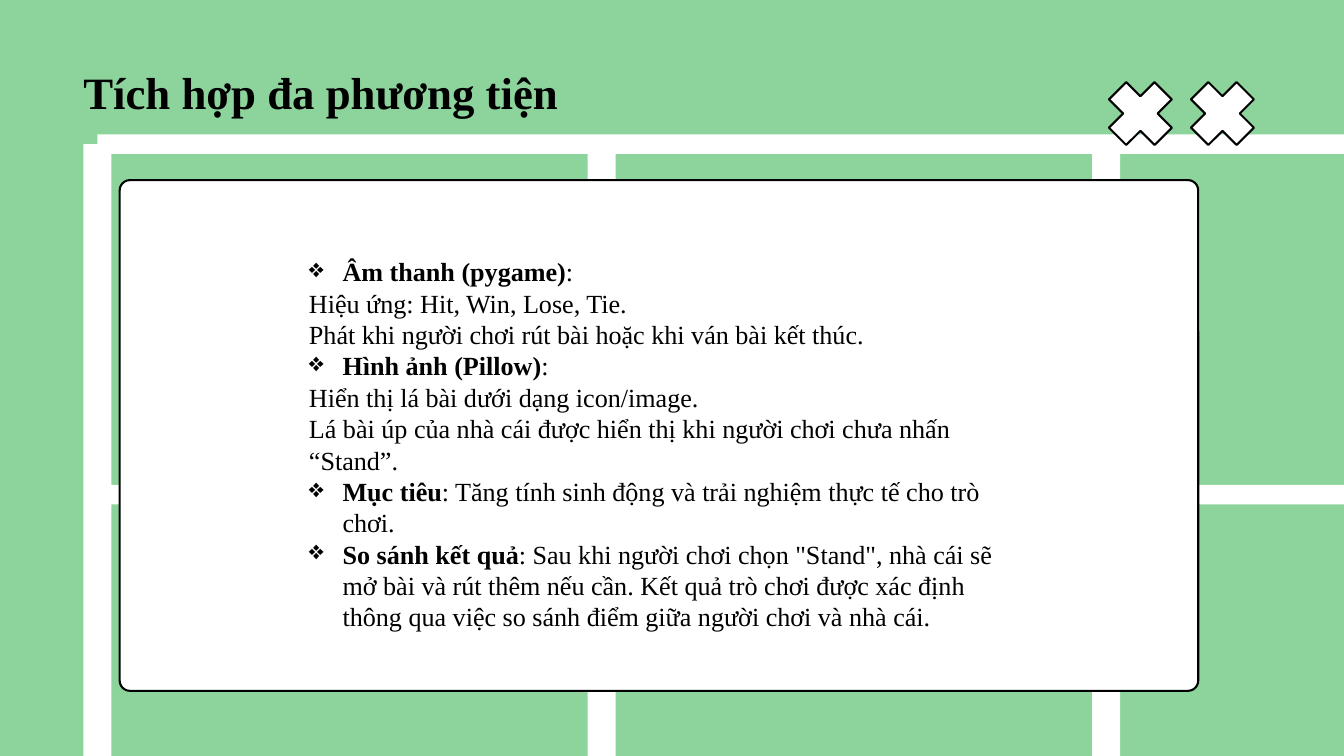
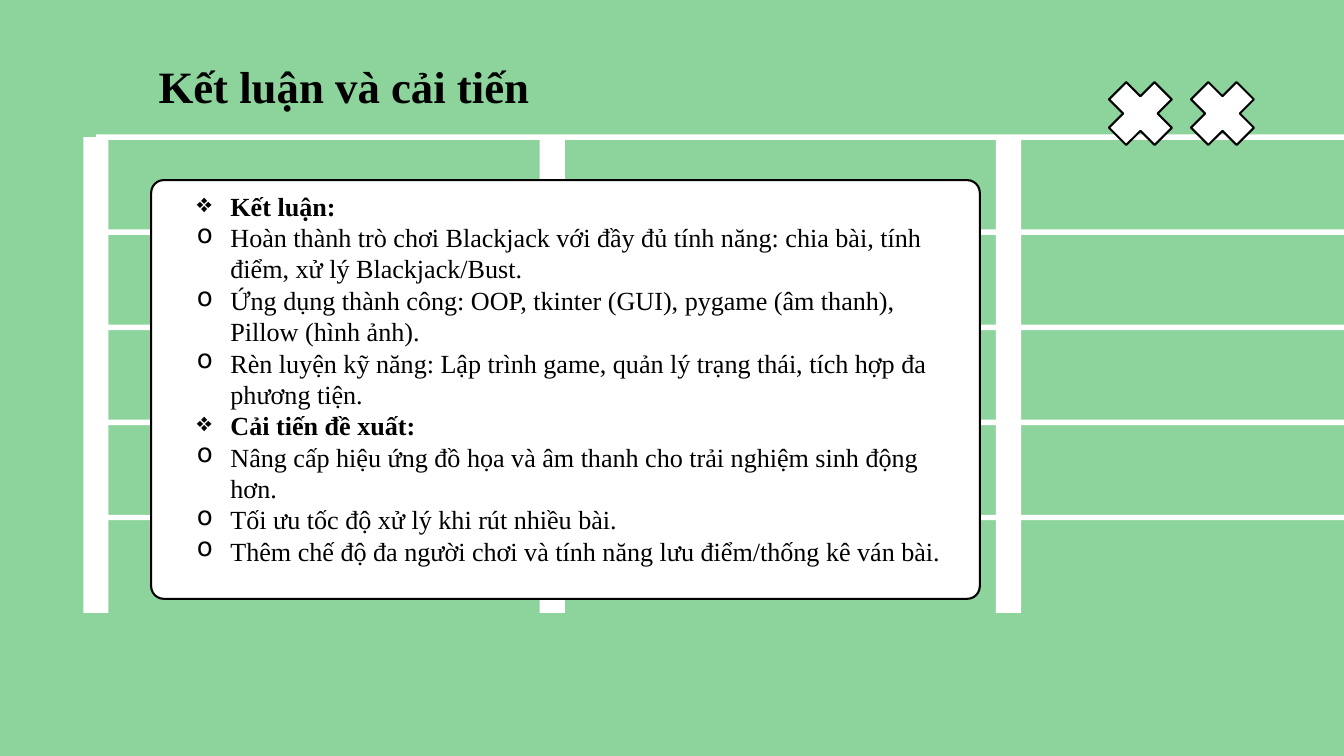
from dataclasses import dataclass
from itertools import product

from lxml.etree import SubElement
from pptx import Presentation
from pptx.dml.color import RGBColor
from pptx.enum.shapes import MSO_SHAPE as Shape
from pptx.enum.text import MSO_ANCHOR as Anchor, MSO_AUTO_SIZE as AutoSize, PP_ALIGN as Align
from pptx.oxml.ns import qn
from pptx.util import Pt


@dataclass(frozen=True)
class Theme:
    green: RGBColor = RGBColor(0x8C, 0xD4, 0x9C)
    white: RGBColor = RGBColor(0xFF, 0xFF, 0xFF)
    black: RGBColor = RGBColor(0, 0, 0)
    font: str = "Times New Roman"
    title_size: float = 48
    body_size: float = 28
    leading: float = 1.2
    outline: float = 2.25
    hang: float = 36


theme = Theme()
title_font = {"name": theme.font, "size": Pt(theme.title_size), "bold": True}
body_font = {"name": theme.font, "size": Pt(theme.body_size)}
title_frame = {"margin_left": 0, "margin_top": 0, "margin_right": 0, "margin_bottom": 0,
               "word_wrap": True, "auto_size": AutoSize.NONE, "vertical_anchor": Anchor.TOP}
title_para = {"alignment": Align.LEFT, "line_spacing": Pt(theme.title_size * theme.leading)}
body_para = {"alignment": Align.LEFT, "line_spacing": Pt(theme.body_size * theme.leading)}

# Each line of a list: bullet, bold lead, plain rest
slides = [
    {
        "title": "Tích hợp đa phương tiện",
        "title_box": (89.3, 69.8, 885.6, 58.3),
        "grid": {"right": 2806.5, "bottom": 2031.8, "bar": 30, "rail": 21,
                 "column_pitch": 540.4, "row_pitch": 375.5},
        "card": (128.2, 193, 1155.6, 547.2),
        "corner": 0.02,
        "list_box": (288, 236.9, 815.8, 482.4),
        "list_top": 37.2,
        "level": 1,
        "lines": [
            ("❖", "Âm thanh (pygame)", ":"),
            ("", "", "Hiệu ứng: Hit, Win, Lose, Tie."),
            ("", "", "Phát khi người chơi rút bài hoặc khi ván bài kết thúc."),
            ("❖", "Hình ảnh (Pillow)", ":"),
            ("", "", "Hiển thị lá bài dưới dạng icon/image."),
            ("", "", "Lá bài úp của nhà cái được hiển thị khi người chơi chưa nhấn “Stand”."),
            ("❖", "Mục tiêu", ": Tăng tính sinh động và trải nghiệm thực tế cho trò chơi."),
            ("❖", "So sánh kết quả",
             ": Sau khi người chơi chọn \"Stand\", nhà cái sẽ mở bài và rút thêm nếu cần. "
             "Kết quả trò chơi được xác định thông qua việc so sánh điểm giữa người chơi và nhà cái."),
        ],
    },
    {
        "title": "Kết luận và cải tiến",
        "title_box": (169.9, 62.6, 492.5, 58.3),
        "grid": {"right": 2546.6, "bottom": 656.6, "bar": 27, "rail": 5.8,
                 "column_pitch": 488.9, "row_pitch": 101.9},
        "card": (162, 193, 887.8, 448.6),
        "corner": 0.03,
        "list_box": (203.8, 200.2, 822.2, 448.6),
        "list_top": 3.6,
        "level": 0,
        "lines": [
            ("❖", "Kết luận:", ""),
            ("o", "", "Hoàn thành trò chơi Blackjack với đầy đủ tính năng: chia bài, tính điểm, "
                      "xử lý Blackjack/Bust."),
            ("o", "", "Ứng dụng thành công: OOP, tkinter (GUI), pygame (âm thanh), Pillow (hình ảnh)."),
            ("o", "", "Rèn luyện kỹ năng: Lập trình game, quản lý trạng thái, tích hợp đa phương tiện."),
            ("❖", "Cải tiến đề xuất:", ""),
            ("o", "", "Nâng cấp hiệu ứng đồ họa và âm thanh cho trải nghiệm sinh động hơn."),
            ("o", "", "Tối ưu tốc độ xử lý khi rút nhiều bài."),
            ("o", "", "Thêm chế độ đa người chơi và tính năng lưu điểm/thống kê ván bài."),
        ],
    },
]


def apply(target, formats):
    for name, value in formats.items():
        setattr(target, name, value)


def paint(shape, outlined=True):
    shape.shadow.inherit = False
    shape.fill.solid()
    shape.fill.fore_color.rgb = theme.white
    if outlined:
        shape.line.color.rgb = theme.black
        shape.line.width = Pt(theme.outline)
    else:
        shape.line.fill.background()


deck = Presentation()
apply(deck, {"slide_width": Pt(1440), "slide_height": Pt(810)})
backdrop = deck.slide_master.background.fill
backdrop.solid()
backdrop.fore_color.rgb = theme.green

for content in slides:
    page = deck.slides.add_slide(deck.slide_layouts[5])

    # Title
    title = page.shapes.title
    apply(title, dict(zip(("left", "top", "width", "height"), map(Pt, content["title_box"]))))
    title.text_frame.text = content["title"]
    apply(title.text_frame, title_frame)
    para = title.text_frame.paragraphs[0]
    apply(para, title_para)
    apply(para.runs[0].font, title_font)
    para.runs[0].font.color.rgb = theme.black

    # White grid: five bars and five rails, open to the right and below
    grid = content["grid"]
    bar, rail, right, bottom = (grid[key] for key in ("bar", "rail", "right", "bottom"))
    bars = [89.3 + i * grid["column_pitch"] for i in range(5)]
    rails = [144 + i * grid["row_pitch"] for i in range(5)]
    foot, edge = rails[-1] + rail, bars[-1] + bar
    notch_x, notch_y = bars[0] + bar / 2, rails[0] + rail / 2
    contours = [[(notch_x, rails[0]), (notch_x, notch_y), (bars[0], notch_y)]]
    for x in bars:
        contours[0] += [(x, foot), (x, bottom), (x + bar, bottom), (x + bar, foot)]
    for y in reversed(rails):
        contours[0] += [(edge, y + rail), (right, y + rail), (right, y), (edge, y)]
    for (x, next_x), (y, next_y) in product(zip(bars, bars[1:]), zip(rails, rails[1:])):
        contours.append([(x + bar, y + rail), (next_x, y + rail),
                         (next_x, next_y), (x + bar, next_y)])
    points = [[(Pt(x), Pt(y)) for x, y in contour] for contour in contours]
    outline = page.shapes.build_freeform(*points[0][0], scale=1.0)
    outline.add_line_segments(points[0][1:], close=True)
    for hole in points[1:]:
        outline.move_to(*hole[0])
        outline.add_line_segments(hole[1:], close=True)
    paint(outline.convert_to_shape(), outlined=False)

    # Card
    card = page.shapes.add_shape(Shape.ROUNDED_RECTANGLE, *map(Pt, content["card"]))
    card.adjustments[0] = content["corner"]
    paint(card)

    # Pair of crosses
    for i in range(2):
        cross = page.shapes.add_shape(
            Shape.CROSS, Pt(1187.3 + i * 87.9), Pt(87.1), Pt(69.1), Pt(69.1))
        cross.adjustments[0] = 0.31
        cross.rotation = 45
        paint(cross)

    # List
    box = page.shapes.add_textbox(*map(Pt, content["list_box"]))
    frame = box.text_frame
    apply(frame, {"word_wrap": True, "margin_top": Pt(content["list_top"])})
    for i, (bullet, lead, rest) in enumerate(content["lines"]):
        para = frame.paragraphs[0] if i == 0 else frame.add_paragraph()
        apply(para, {**body_para, "level": content["level"]})
        hang = theme.hang if bullet else 0
        props = para._p.get_or_add_pPr()
        props.set("marL", str(Pt(content["level"] * theme.hang + hang)))
        props.set("indent", str(-Pt(hang)))
        if bullet:
            SubElement(props, qn("a:buChar"), char=bullet)
        for words, bold in ((lead, True), (rest, False)):
            if words:
                span = para.add_run()
                span.text = words
                apply(span.font, {**body_font, "bold": bold})
                span.font.color.rgb = theme.black

deck.save("out.pptx")
